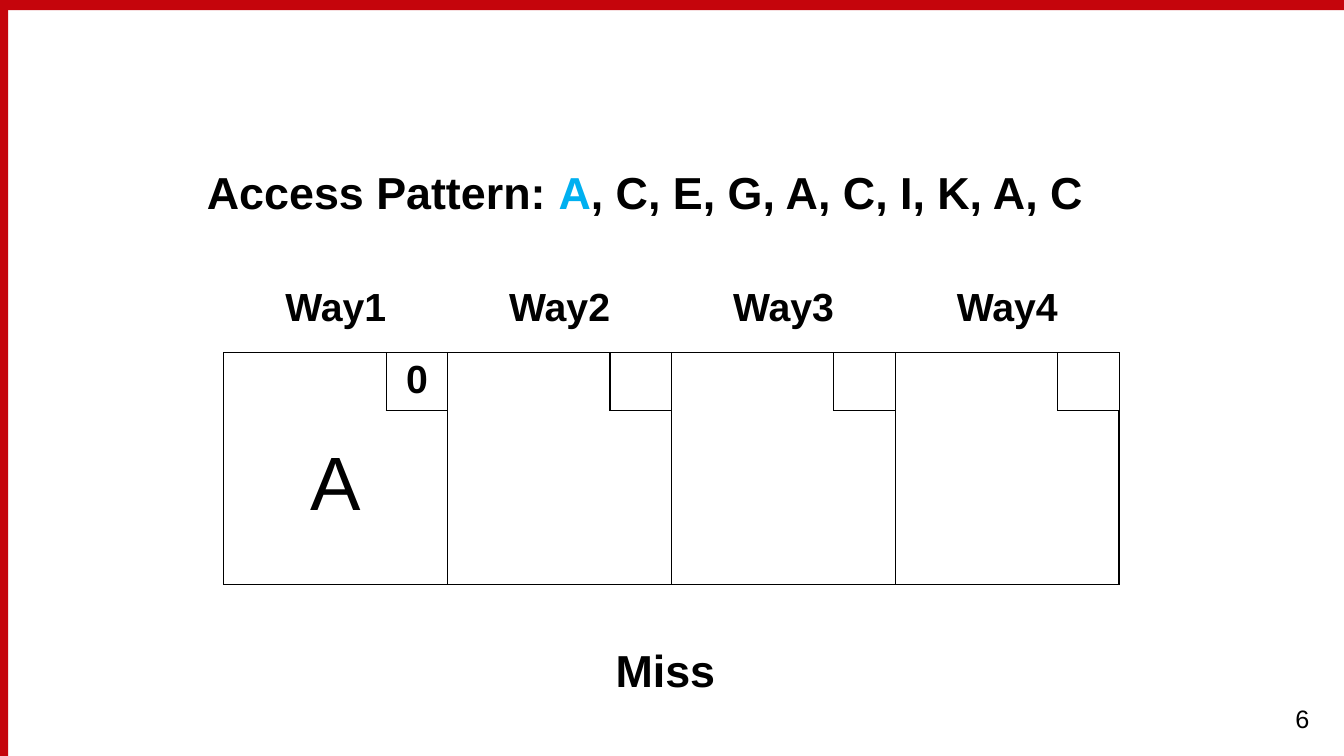
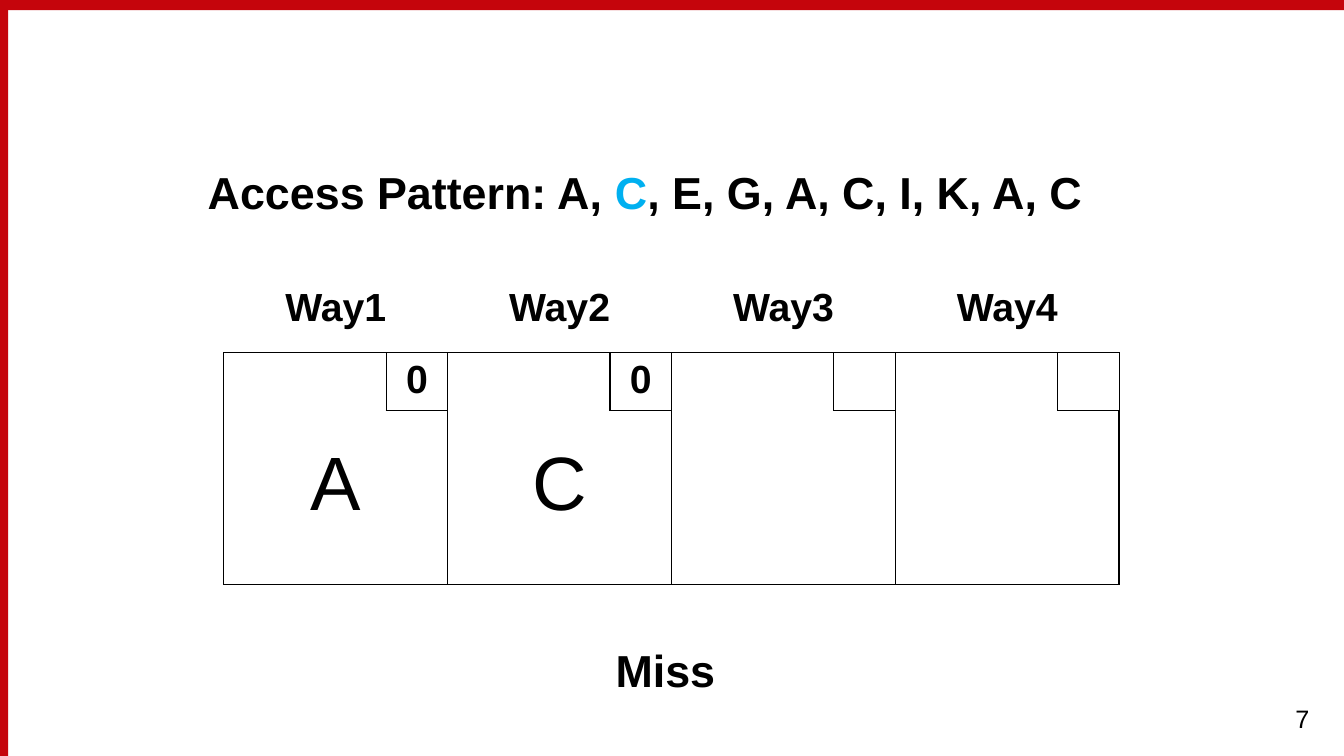
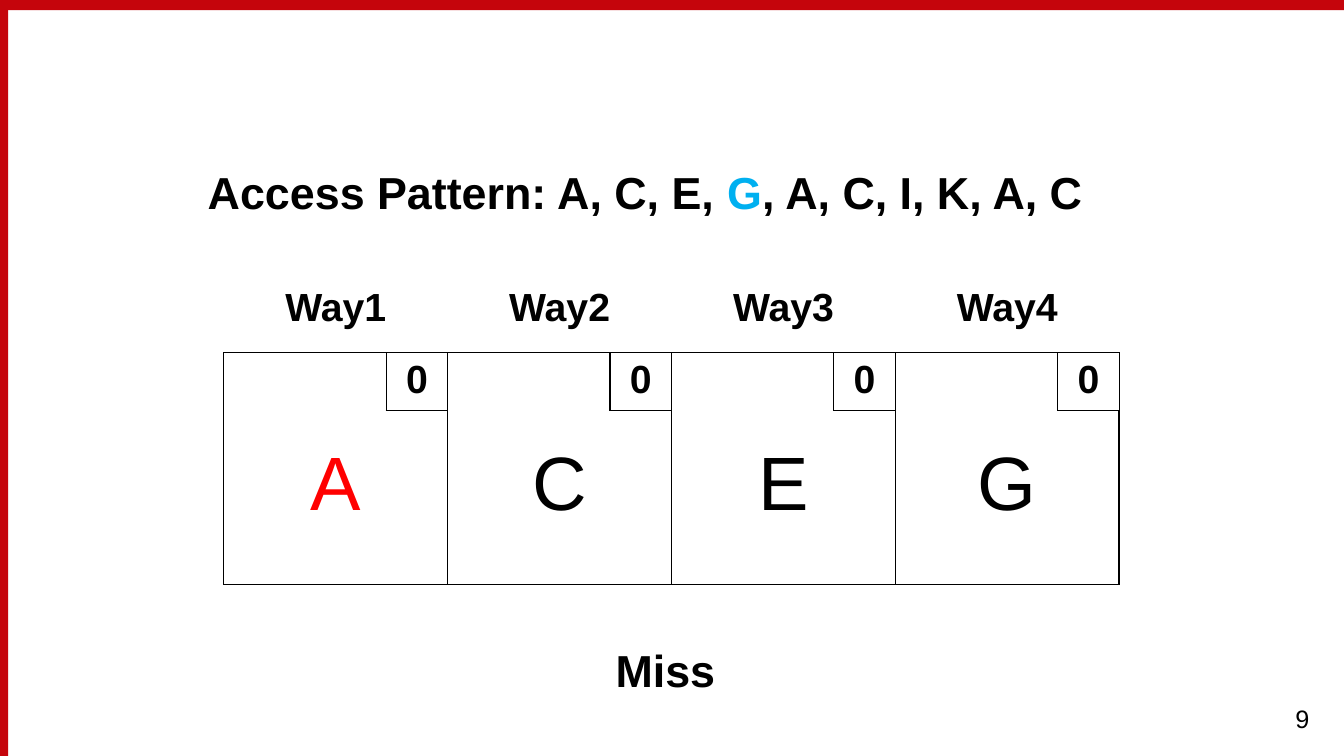
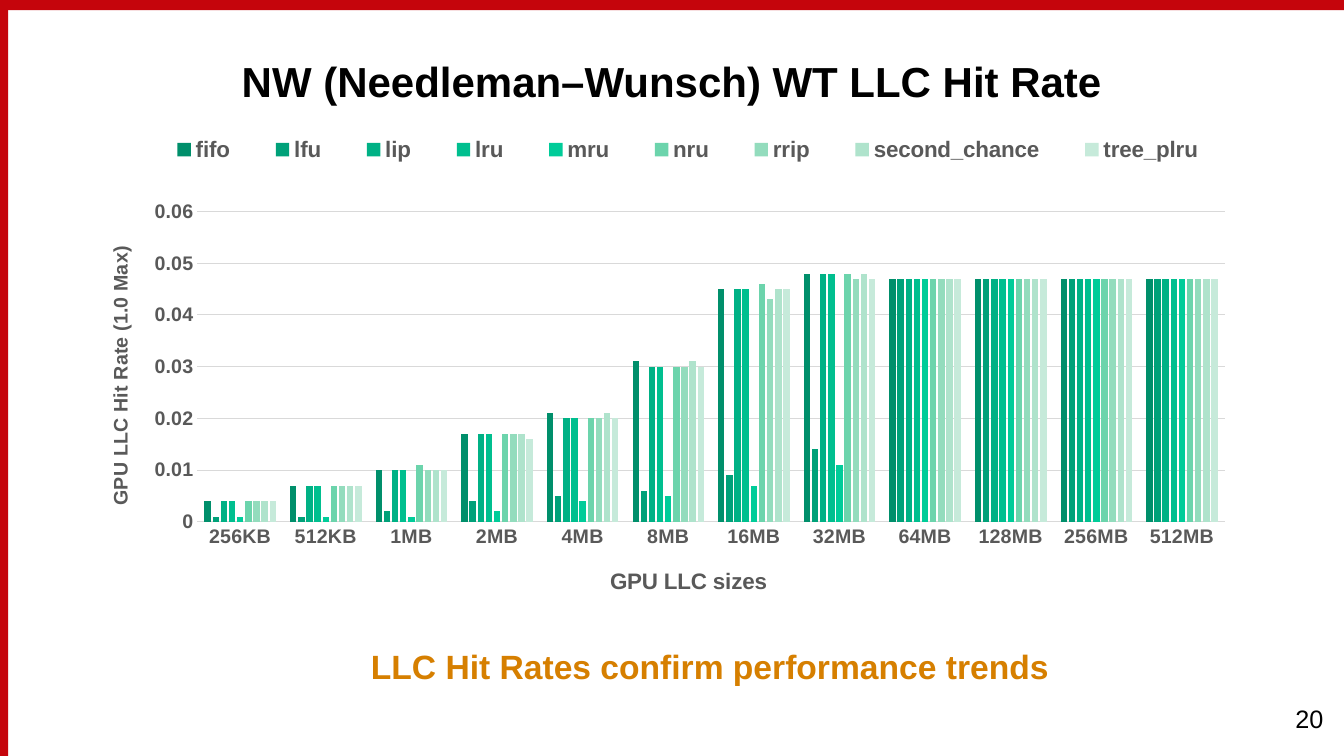
from dataclasses import dataclass
from typing import Optional

from lxml import etree
from pptx import Presentation
from pptx.chart.data import CategoryChartData
from pptx.dml.color import RGBColor
from pptx.enum.chart import XL_CHART_TYPE, XL_LEGEND_POSITION, XL_TICK_MARK
from pptx.enum.shapes import MSO_SHAPE
from pptx.enum.text import MSO_ANCHOR, MSO_AUTO_SIZE, PP_ALIGN
from pptx.oxml.ns import qn
from pptx.util import Inches, Pt

RECT = MSO_SHAPE.RECTANGLE
COLUMN = XL_CHART_TYPE.COLUMN_CLUSTERED
LEGEND_BOTTOM = XL_LEGEND_POSITION.BOTTOM
NO_TICK = XL_TICK_MARK.NONE
TOP = MSO_ANCHOR.TOP
NO_FIT = MSO_AUTO_SIZE.NONE
LEFT, CENTER = PP_ALIGN.LEFT, PP_ALIGN.CENTER

BLACK = RGBColor(0x00, 0x00, 0x00)
WHITE = RGBColor(0xFF, 0xFF, 0xFF)
BAND_RED = RGBColor(0xC5, 0x05, 0x0C)
VICTIM_RED = RGBColor(0xFF, 0x00, 0x00)
CURRENT_BLUE = RGBColor(0x00, 0xB0, 0xF0)
ORANGE = RGBColor(0xD6, 0x7F, 0x00)
GRAY = RGBColor(0x59, 0x59, 0x59)
GRID_GRAY = RGBColor(0xD9, 0xD9, 0xD9)

FONT = "Arial"
SLIDE_W, SLIDE_H = 13.33, 7.5

# Cache grid
PATTERN = "ACEGACIKAC"
WAYS = 4
GRID_X, GRID_Y = 2.22, 3.5
WAY_W, WAY_H = 2.22, 2.3
BIT_W, BIT_H = 0.61, 0.57


@dataclass
class Step:
    page: int
    current: int
    lines: str
    victim: Optional[int] = None


@dataclass
class Policy:
    name: str
    color: RGBColor
    rates: tuple


STEPS = [
    Step(6, 0, "A"),
    Step(7, 1, "AC"),
    Step(9, 3, "ACEG", victim=0),
]

SIZES = ["256KB", "512KB", "1MB", "2MB", "4MB", "8MB",
         "16MB", "32MB", "64MB", "128MB", "256MB", "512MB"]
SATURATED = (0.047,) * 4  # every policy from 64MB up
POLICIES = [
    Policy("fifo", RGBColor(0x00, 0x8F, 0x6B),
           (0.004, 0.007, 0.01, 0.017, 0.021, 0.031, 0.045, 0.048)),
    Policy("lfu", RGBColor(0x00, 0xA1, 0x79),
           (0.001, 0.001, 0.002, 0.004, 0.005, 0.006, 0.009, 0.014)),
    Policy("lip", RGBColor(0x00, 0xB1, 0x85),
           (0.004, 0.007, 0.01, 0.017, 0.02, 0.03, 0.045, 0.048)),
    Policy("lru", RGBColor(0x00, 0xBF, 0x8F),
           (0.004, 0.007, 0.01, 0.017, 0.02, 0.03, 0.045, 0.048)),
    Policy("mru", RGBColor(0x00, 0xCC, 0x99),
           (0.001, 0.001, 0.001, 0.002, 0.004, 0.005, 0.007, 0.011)),
    Policy("nru", RGBColor(0x6C, 0xD4, 0xAC),
           (0.004, 0.007, 0.011, 0.017, 0.02, 0.03, 0.046, 0.048)),
    Policy("rrip", RGBColor(0x93, 0xDC, 0xBD),
           (0.004, 0.007, 0.01, 0.017, 0.02, 0.03, 0.043, 0.047)),
    Policy("second_chance", RGBColor(0xAF, 0xE3, 0xCC),
           (0.004, 0.007, 0.01, 0.017, 0.021, 0.031, 0.045, 0.048)),
    Policy("tree_plru", RGBColor(0xC6, 0xEA, 0xDA),
           (0.004, 0.007, 0.01, 0.016, 0.02, 0.03, 0.045, 0.047)),
]


def style_font(font, size: float, color: RGBColor, bold: bool = True) -> None:
    for name, value in {"name": FONT, "size": Pt(size), "bold": bold}.items():
        setattr(font, name, value)
    font.color.rgb = color


def write(p, runs: list, size: float, bold: bool = True, align=CENTER) -> None:
    """Fill a paragraph with (text, colour) runs."""
    p.alignment = align
    for text, color in runs:
        r = p.add_run()
        r.text = text
        style_font(r.font, size, color, bold)


def add_text(s, box: tuple, text: str, size: float, color: RGBColor = BLACK,
             bold: bool = True, align=CENTER, wrap: bool = True) -> None:
    tf = s.shapes.add_textbox(*map(Inches, box)).text_frame
    tf.word_wrap = wrap
    write(tf.paragraphs[0], [(text, color)], size, bold, align)


def add_bands(s, layout) -> None:
    """Draw the red bands and move them to the layout."""
    for w, h in ((SLIDE_W, 0.1), (0.08, SLIDE_H)):
        band = s.shapes.add_shape(RECT, 0, 0, Inches(w), Inches(h))
        band.shadow.inherit = False
        band.fill.solid()
        band.fill.fore_color.rgb = BAND_RED
        band.line.fill.background()
        layout.shapes.element.append(band.element)


def new_slide(prs, page: int, title_box: tuple, runs: list, size: float):
    s = prs.slides.add_slide(prs.slide_layouts[5])
    title = s.shapes.title
    for name, value in zip(("left", "top", "width", "height"), title_box):
        setattr(title, name, Inches(value))
    tf = title.text_frame
    for name, value in {"auto_size": NO_FIT, "vertical_anchor": TOP,
                        "word_wrap": True}.items():
        setattr(tf, name, value)
    write(tf.paragraphs[0], runs, size)
    add_text(s, (12.75, 6.93, 0.2 + 0.14 * len(str(page)), 0.4), str(page), 18,
             bold=False, align=LEFT, wrap=False)
    return s


def add_border(cell) -> None:
    tc_pr = cell._tc.get_or_add_tcPr()
    for side in ("a:lnL", "a:lnR", "a:lnT", "a:lnB"):
        ln = etree.SubElement(tc_pr, qn(side), w=str(Pt(1)))
        fill = etree.SubElement(ln, qn("a:solidFill"))
        etree.SubElement(fill, qn("a:srgbClr"), val=str(BLACK))


def add_row(s, box: tuple, cells: list, size: float, bold: bool,
            spacing: float = 1.0) -> None:
    """Add a one-row table; cells are (text, colour) pairs."""
    table = s.shapes.add_table(1, len(cells), *map(Inches, box)).table
    table.first_row = table.horz_banding = False
    for cell, (text, color) in zip(table.iter_cells(), cells):
        add_border(cell)
        cell.fill.solid()
        cell.fill.fore_color.rgb = WHITE
        if text:
            p = cell.text_frame.paragraphs[0]
            p.line_spacing = spacing
            write(p, [(text, color)], size, bold)


def add_step(prs, step: Step) -> None:
    # Access pattern with the current access picked out
    i = step.current
    before = "".join(f"{c}, " for c in PATTERN[:i])
    after = "".join(f", {c}" for c in PATTERN[i + 1:])
    runs = [("Access Pattern: " + before, BLACK), (PATTERN[i], CURRENT_BLUE),
            (after, BLACK)]
    s = new_slide(prs, step.page, (1.42, 1.58, 9.96, 0.64), runs, 32)

    # Ways, each with its bit in the upper right corner
    lines = step.lines.ljust(WAYS).replace(" ", "-")
    cells = [("" if c == "-" else c,
              VICTIM_RED if n == step.victim else BLACK)
             for n, c in enumerate(lines)]
    add_row(s, (GRID_X, GRID_Y, WAYS * WAY_W, WAY_H), cells, 54, False, 2.0)
    for n, (line, _) in enumerate(cells):
        x = GRID_X + n * WAY_W
        add_text(s, (x, 2.75, WAY_W, 0.57), f"Way{n + 1}", 28)
        add_row(s, (x + WAY_W - BIT_W, GRID_Y, BIT_W, BIT_H),
                [("0" if line else "", BLACK)], 28, True)

    # Outcome
    add_text(s, (1.62, 6.33, 9.96, 0.64), "Miss", 32)


def set_layout(parent, index: int, inner: bool = False, **fractions) -> None:
    """Place a chart part by fractions of the chart area."""
    for old in parent.findall(qn("c:layout")):
        parent.remove(old)
    layout = etree.Element(qn("c:layout"))
    manual = etree.SubElement(layout, qn("c:manualLayout"))
    if inner:
        etree.SubElement(manual, qn("c:layoutTarget"), val="inner")
    for key in ("x", "y"):
        etree.SubElement(manual, qn(f"c:{key}Mode"), val="edge")
    for key, value in fractions.items():
        etree.SubElement(manual, qn(f"c:{key}"), val=str(value))
    parent.insert(index, layout)


def style_axis(axis, title: str, size: float, x: float, y: float) -> None:
    axis.major_tick_mark = axis.minor_tick_mark = NO_TICK
    style_font(axis.tick_labels.font, 14, GRAY)
    write(axis.axis_title.text_frame.paragraphs[0], [(title, GRAY)], size)
    set_layout(axis.axis_title.element, 1, x=x, y=y)


def add_hit_rate_chart(s) -> None:
    data = CategoryChartData()
    data.categories = SIZES
    for policy in POLICIES:
        data.add_series(policy.name, policy.rates + SATURATED)
    box = map(Inches, (0.8, 1.33, 11.58, 5.13))
    chart = s.shapes.add_chart(COLUMN, *box, data).chart
    style_font(chart.font, 14, BLACK)
    chart.has_title = False

    # Columns
    plot = chart.plots[0]
    for name, value in {"gap_width": 219, "overlap": -27,
                        "vary_by_categories": False}.items():
        setattr(plot, name, value)
    for series, policy in zip(plot.series, POLICIES):
        series.format.fill.solid()
        series.format.fill.fore_color.rgb = policy.color
    set_layout(chart.element.find(".//" + qn("c:plotArea")), 0, inner=True,
               x=0.1, y=0.15, w=0.88, h=0.6)

    # Axes
    cat, val = chart.category_axis, chart.value_axis
    style_axis(cat, "GPU LLC sizes", 16, 0.45, 0.83)
    style_axis(val, "GPU LLC Hit Rate (1.0 Max)", 14, 0.02, 0.21)
    val.minimum_scale, val.maximum_scale, val.major_unit = 0, 0.06, 0.01
    val.format.line.fill.background()
    for line in (cat.format.line, val.major_gridlines.format.line):
        line.color.rgb = GRID_GRAY
        line.width = Pt(0.75)

    # Legend above the columns
    chart.has_legend = True
    chart.legend.position = LEGEND_BOTTOM
    chart.legend.include_in_layout = False
    style_font(chart.legend.font, 16, GRAY)
    set_layout(chart.element.find(".//" + qn("c:legend")), 1,
               x=0.05, y=0, w=0.94, h=0.06)


def main() -> None:
    prs = Presentation()
    prs.slide_width, prs.slide_height = Inches(SLIDE_W), Inches(SLIDE_H)

    for step in STEPS:
        add_step(prs, step)

    s = new_slide(prs, 20, (0, 0.5, SLIDE_W, 0.61),
                  [("NW (Needleman–Wunsch) WT LLC Hit Rate", BLACK)], 30)
    add_hit_rate_chart(s)
    add_text(s, (1.33, 6.36, 11.42, 0.5),
             "LLC Hit Rates confirm performance trends", 24, ORANGE)

    add_bands(s, s.slide_layout)
    prs.save("out.pptx")


if __name__ == "__main__":
    main()
